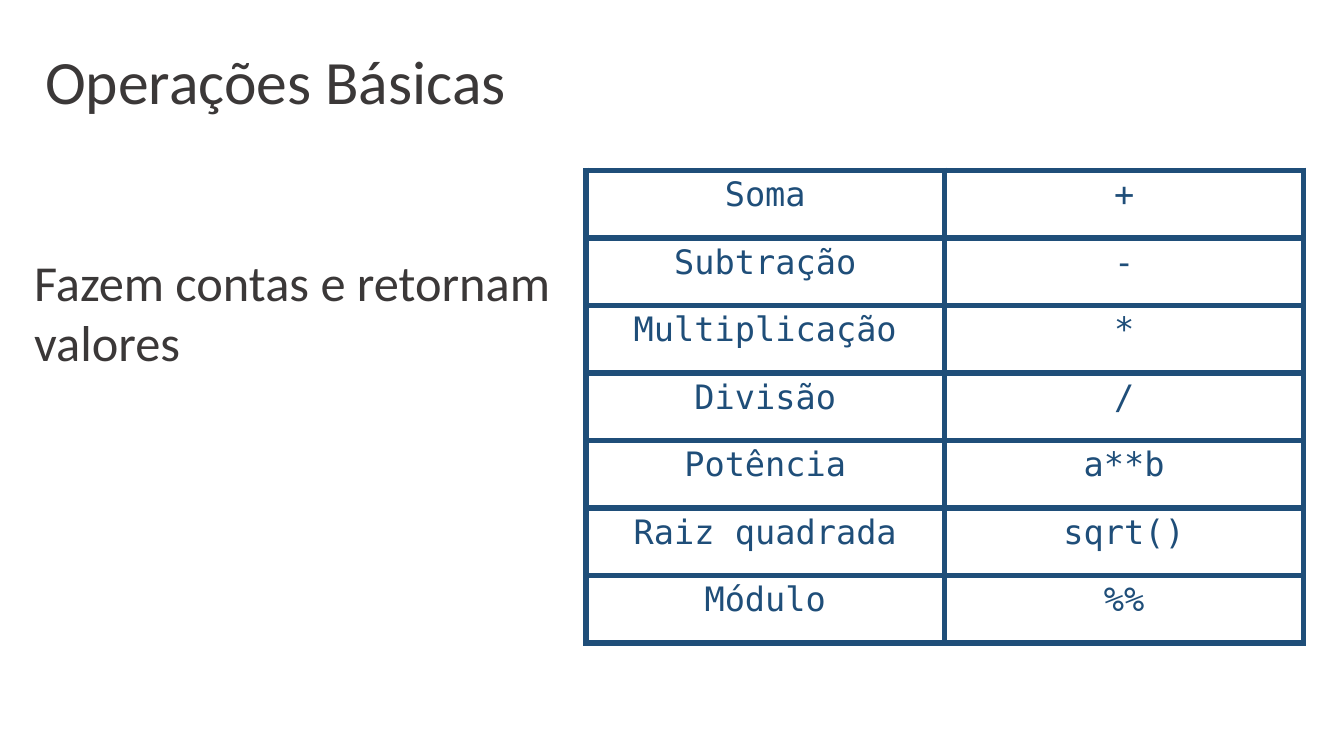
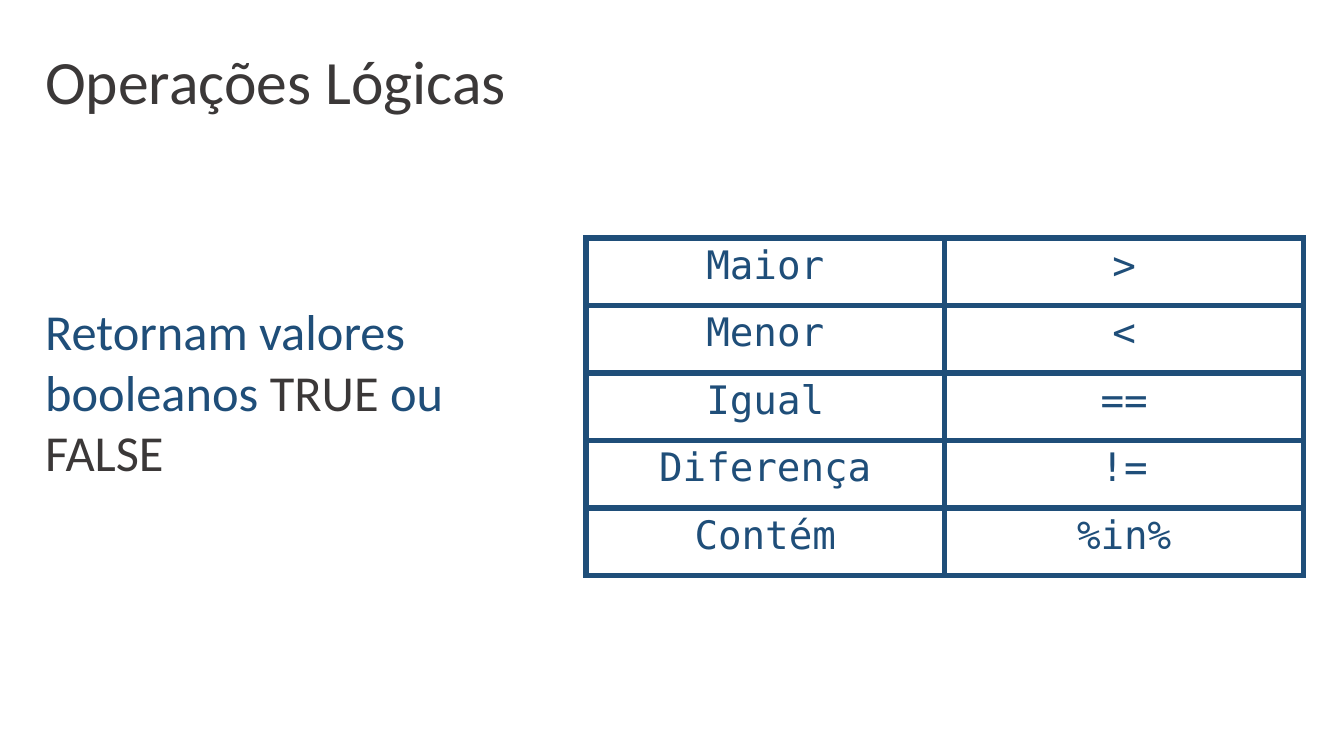
from lxml.etree import SubElement
from pptx import Presentation
from pptx.dml.color import RGBColor
from pptx.enum.text import MSO_AUTO_SIZE, PP_ALIGN
from pptx.oxml.ns import qn
from pptx.util import Inches, Pt

DARK = "3B3838"
BLUE = "1F4E79"
BODY_FONT = "Calibri"
CODE_FONT = "DejaVu Sans Mono"
BORDER_WIDTH = Pt(4.5)
TABLE_LEFT = 5.81
COLUMN_WIDTH = 3.56
ROW_HEIGHT = 0.67


def set_color(font, color):
    font.color.rgb = RGBColor.from_string(color)


def style_paragraph(para, name, size):
    para.font.name = name
    para.font.size = Pt(size)


def add_text(page, bounds, spans, size):
    box = page.shapes.add_textbox(*[Inches(length) for length in bounds])
    frame = box.text_frame
    frame.word_wrap = True
    frame.auto_size = MSO_AUTO_SIZE.SHAPE_TO_FIT_TEXT
    para = frame.paragraphs[0]
    style_paragraph(para, BODY_FONT, size)
    for text, color in spans:
        span = para.add_run()
        span.text = text
        set_color(span.font, color)


def add_title(page, text):
    add_text(page, (0.35, 0.38, 9.02, 0.84), [(text, DARK)], 44)


def set_borders(cell, color):
    properties = cell._tc.get_or_add_tcPr()
    for side in ("lnL", "lnR", "lnT", "lnB"):
        line = SubElement(properties, qn(f"a:{side}"), w=str(BORDER_WIDTH))
        fill = SubElement(line, qn("a:solidFill"))
        SubElement(fill, qn("a:srgbClr"), val=color)


def fill_cell(cell, text, size):
    set_borders(cell, BLUE)
    cell.fill.background()
    para = cell.text_frame.paragraphs[0]
    para.text = text
    para.alignment = PP_ALIGN.CENTER
    style_paragraph(para, CODE_FONT, size)
    set_color(para.font, BLUE)


def add_operator_table(page, top, rows, size):
    columns = len(rows[0])
    table = page.shapes.add_table(
        len(rows), columns, Inches(TABLE_LEFT), Inches(top),
        Inches(COLUMN_WIDTH * columns), Inches(ROW_HEIGHT * len(rows)),
    ).table
    table.first_row = False
    table.horz_banding = False
    for column in table.columns:
        column.width = Inches(COLUMN_WIDTH)
    for row, texts in zip(table.rows, rows):
        row.height = Inches(ROW_HEIGHT)
        for cell, text in zip(row.cells, texts):
            fill_cell(cell, text, size)


def add_operator_slide(deck, title, note_bounds, note, table_top, rows, code_size):
    page = deck.slides.add_slide(deck.slide_layouts[6])
    add_title(page, title)
    add_operator_table(page, table_top, rows, code_size)
    add_text(page, note_bounds, note, 36)


def main():
    deck = Presentation()
    deck.slide_width = Inches(13.33)
    deck.slide_height = Inches(7.5)
    add_operator_slide(
        deck,
        "Operações Básicas",
        (0.24, 2.44, 5.38, 1.31),
        [("Fazem contas e retornam valores", DARK)],
        1.69,
        [
            ("Soma", "+"),
            ("Subtração", "-"),
            ("Multiplicação", "*"),
            ("Divisão", "/"),
            ("Potência", "a**b"),
            ("Raiz quadrada", "sqrt()"),
            ("Módulo", "%%"),
        ],
        24,
    )
    add_operator_slide(
        deck,
        "Operações Lógicas",
        (0.35, 2.93, 5.38, 1.92),
        [
            ("Retornam valores booleanos ", BLUE),
            ("TRUE ", DARK),
            ("ou ", BLUE),
            ("FALSE", DARK),
        ],
        2.36,
        [
            ("Maior", ">"),
            ("Menor", "<"),
            ("Igual", "=="),
            ("Diferença", "!="),
            ("Contém", "%in%"),
        ],
        28,
    )
    deck.save("out.pptx")


if __name__ == "__main__":
    main()
